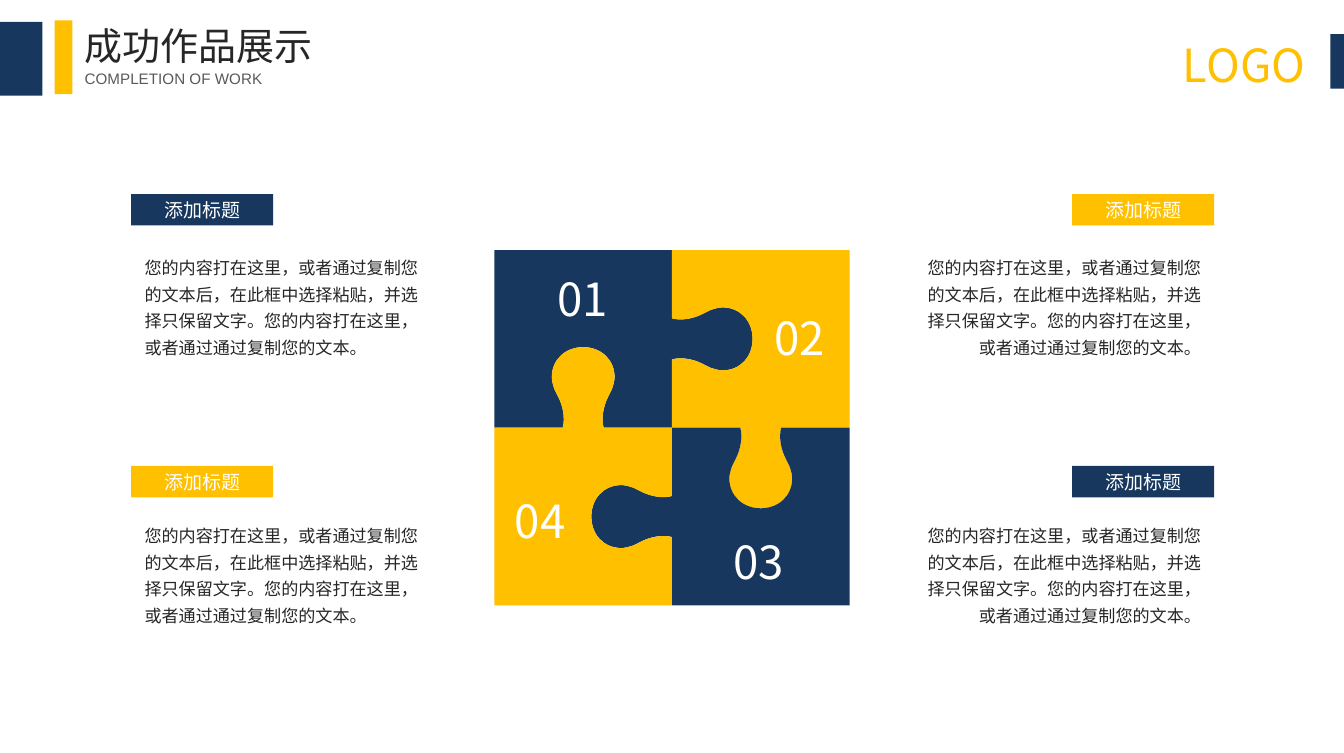
from pptx import Presentation
from pptx.enum.shapes import MSO_SHAPE
from pptx.enum.text import MSO_ANCHOR, MSO_AUTO_SIZE, PP_ALIGN
from pptx.dml.color import RGBColor
from pptx.oxml.ns import qn
from pptx.util import Inches, Pt
from lxml import etree

RECT = MSO_SHAPE.RECTANGLE
TOP, MIDDLE = MSO_ANCHOR.TOP, MSO_ANCHOR.MIDDLE
LEFT, CENTER, RIGHT = PP_ALIGN.LEFT, PP_ALIGN.CENTER, PP_ALIGN.RIGHT
NO_AUTOFIT = MSO_AUTO_SIZE.NONE

# Content
TITLE = "成功作品展示"
SUBTITLE = "COMPLETION OF WORK"
LOGO = "LOGO"
LABEL = "添加标题"
BODY = ("您的内容打在这里，或者通过复制您的文本后，在此框中选择粘贴，"
        "并选择只保留文字。您的内容打在这里，或者通过通过复制您的文本。")
# Clockwise from top left: number, colour, left and top inset of the number
PIECES = [
    ("01", "navy", 0.46, 0.15),
    ("02", "gold", 0.75, 0.44),
    ("03", "navy", 1.04, 0.78),
    ("04", "gold", 0.15, 1.07),
]
# Label top, body top, colours of the left and right labels
ROWS = [
    (1.42, 1.79, ("navy", "gold")),
    (3.41, 3.75, ("gold", "navy")),
]
# Header bars: left, top, width, height, colour
BARS = [
    (0, 0.16, 0.31, 0.54, "navy"),
    (0.4, 0.15, 0.13, 0.54, "gold"),
    (9.74, 0.25, 0.1, 0.4, "navy"),
]

COLORS = {"navy": "17375E", "gold": "FFC000", "white": "FFFFFF",
          "ink": "262626", "grey": "595959"}
CJK_FONT, LATIN_FONT = "Noto Sans CJK SC", "Arial"

# Layout in inches
COLUMN_LEFT, COLUMN_RIGHT, BODY_W, BODY_H = 0.96, 8.89, 2.22, 0.89
LABEL_W, LABEL_H = 1.04, 0.23
CENTER_X, CENTER_Y, PIECE = 4.92, 3.13, 1.3
BOX_INSETS = (0.07, 0.04, 0.07, 0.04)

# Half of a knob: its start, then two handles and an end for each Bezier curve,
# all as (distance from edge, offset along edge)
HALF_KNOB = [
    (0, -0.15),
    (0.07, -0.13), (0.16, -0.15), (0.22, -0.18),
    (0.24, -0.19), (0.26, -0.2), (0.28, -0.21),
    (0.31, -0.22), (0.34, -0.23), (0.37, -0.23),
    (0.5, -0.23), (0.59, -0.13), (0.59, 0),
]


def rgb(color):
    return RGBColor.from_string(COLORS[color])


def paint(shape, color):
    shape.shadow.inherit = False
    shape.fill.solid()
    shape.fill.fore_color.rgb = rgb(color)
    shape.line.fill.background()


def write(shape, text, size, color, align=LEFT, anchor=TOP, insets=BOX_INSETS,
          font=CJK_FONT, spacing=None):
    frame = shape.text_frame
    frame.text = text
    frame.word_wrap = True
    frame.auto_size = NO_AUTOFIT
    frame.vertical_anchor = anchor
    (frame.margin_left, frame.margin_top,
     frame.margin_right, frame.margin_bottom) = map(Inches, insets)
    paragraph = frame.paragraphs[0]
    paragraph.alignment = align
    if spacing:
        paragraph.line_spacing = spacing
    run = paragraph.runs[0]
    run.font.size = Pt(size)
    run.font.name = font
    run.font.color.rgb = rgb(color)
    east_asian = etree.SubElement(run.font._element, qn("a:ea"))
    east_asian.set("typeface", CJK_FONT)


def add_box(slide, left, top, width, height, color):
    box = slide.shapes.add_shape(RECT, *map(Inches, (left, top, width, height)))
    paint(box, color)
    return box


def add_text(slide, left, top, width, height, *args, **kwargs):
    box = slide.shapes.add_textbox(*map(Inches, (left, top, width, height)))
    write(box, *args, **kwargs)


def piece_outline():
    """Top-left piece around the puzzle centre, and where its knobs start."""
    other_half = [(out, -along) for out, along in reversed(HALF_KNOB[:-1])]
    knob = [(out, along - PIECE / 2) for out, along in HALF_KNOB + other_half]
    socket = [(y, -x) for x, y in reversed(knob)]
    before_knob = [(-PIECE, -PIECE), (0, -PIECE)]
    before_socket = before_knob + knob + [(0, 0)]
    outline = before_socket + socket + [(-PIECE, 0)]
    return outline, (len(before_knob), len(before_socket)), len(knob)


def bend(piece, knob_starts, knob_length):
    """Turn each three lines of a knob into one Bezier curve."""
    lines = list(piece._element.iter(qn("a:lnTo")))
    for start in knob_starts:
        for first in range(start, start + knob_length - 1, 3):
            handle_1, handle_2, end = lines[first:first + 3]
            curve = etree.Element(qn("a:cubicBezTo"))
            handle_1.addprevious(curve)
            for line in (handle_1, handle_2, end):
                curve.append(line[0])
                line.getparent().remove(line)


def add_puzzle(slide):
    outline, knob_starts, knob_length = piece_outline()
    for number, color, inset_left, inset_top in PIECES:
        points = [(Inches(CENTER_X + x), Inches(CENTER_Y + y)) for x, y in outline]
        builder = slide.shapes.build_freeform(*points[0])
        builder.add_line_segments(points[1:], close=True)
        piece = builder.convert_to_shape()
        bend(piece, knob_starts, knob_length)
        paint(piece, color)
        write(piece, number, 24, "white", insets=(inset_left, inset_top, 0.07, 0.04))
        outline = [(-y, x) for x, y in outline]  # quarter turn clockwise


def add_captions(slide):
    for label_top, body_top, colors in ROWS:
        for align, color in zip((LEFT, RIGHT), colors):
            on_left = align == LEFT
            label_left = COLUMN_LEFT if on_left else COLUMN_RIGHT - LABEL_W
            body_left = COLUMN_LEFT if on_left else COLUMN_RIGHT - BODY_W
            label = add_box(slide, label_left, label_top, LABEL_W, LABEL_H, color)
            write(label, LABEL, 10, "white", CENTER, MIDDLE)
            add_text(slide, body_left, body_top, BODY_W, BODY_H, BODY, 9, "ink",
                     align, insets=(0.1, 0.05, 0.1, 0.05), spacing=1.3)


def add_header(slide):
    for bar in BARS:
        add_box(slide, *bar)
    title = slide.shapes.title
    title.left, title.top, title.width, title.height = map(
        Inches, (0.62, 0.16, 1.77, 0.34))
    heading = {"anchor": MIDDLE, "insets": (0, 0, 0, 0), "font": LATIN_FONT}
    write(title, TITLE, 20, "ink", **heading)
    add_text(slide, 0.62, 0.51, 1.77, 0.13, SUBTITLE, 8, "grey", **heading)
    add_text(slide, 8.59, 0.23, 1.25, 0.48, LOGO, 24, "gold")


def main():
    deck = Presentation()
    deck.slide_width, deck.slide_height = Inches(9.84), Inches(5.51)
    slide = deck.slides.add_slide(deck.slide_layouts[5])  # title only
    add_puzzle(slide)
    add_captions(slide)
    add_header(slide)
    deck.save("out.pptx")


if __name__ == "__main__":
    main()
